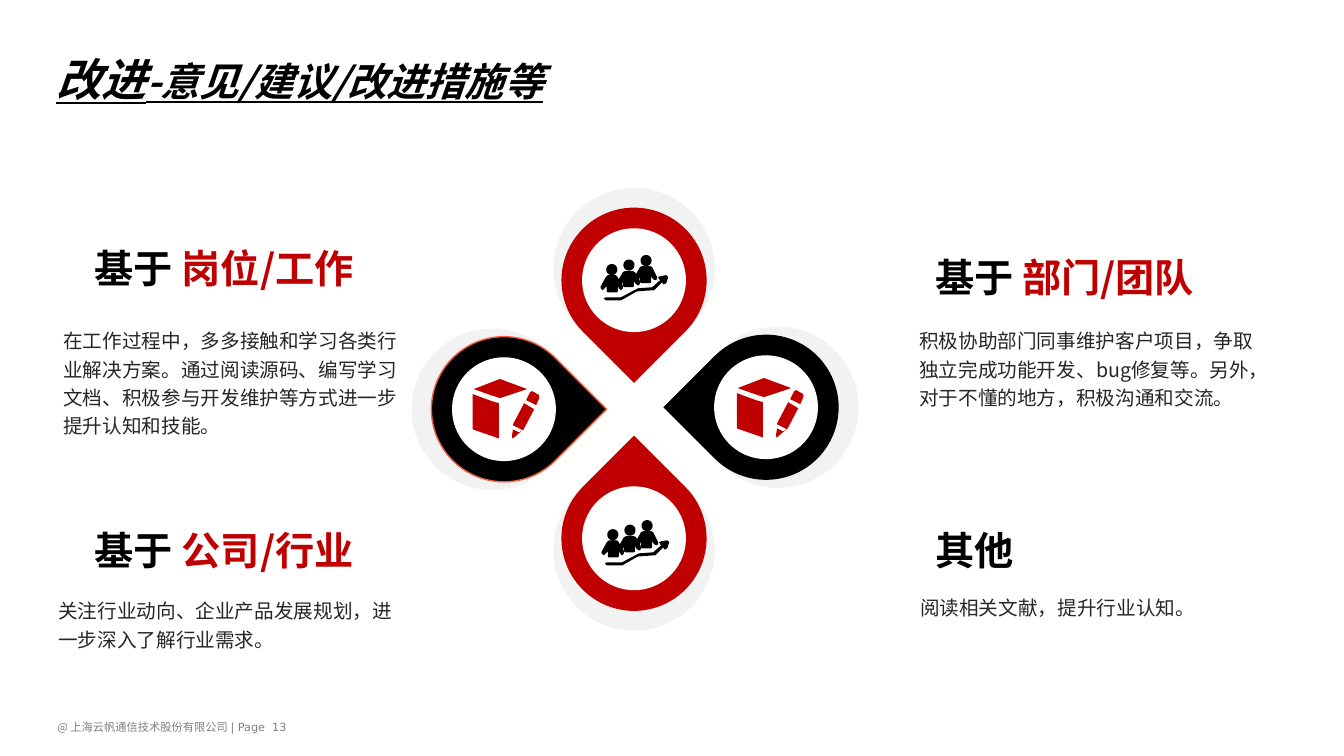
"""Build the slide of improvement ideas: four petals with headed notes."""
from dataclasses import dataclass
from math import cos, pi, radians, sin
from typing import Any

from lxml.etree import SubElement
from pptx import Presentation
from pptx.dml.color import RGBColor
from pptx.enum.shapes import MSO_SHAPE
from pptx.enum.text import MSO_ANCHOR, MSO_AUTO_SIZE
from pptx.oxml.ns import qn
from pptx.util import Emu, Pt

Point = tuple[float, float]
Path = list[Point]
COLS, ROWS = 160, 90
WIDTH, HEIGHT = Emu(12192000), Emu(6858000)


@dataclass(frozen=True)
class Theme:
    red: str = "C00000"
    black: str = "000000"
    white: str = "FFFFFF"
    halo: str = "F2F2F2"
    rim: str = "F35E40"
    body: str = "262626"
    grey: str = "808080"
    title: int = 32
    head: int = 28
    text: int = 14
    foot: int = 8
    main: str = "Noto Sans CJK SC"
    plain: str = "DejaVu Sans"


THEME = Theme()


@dataclass(frozen=True)
class Run:
    text: str
    size: int
    tint: str
    face: str = THEME.main
    bold: bool = False
    slant: bool = False


@dataclass(frozen=True)
class Note:
    col: float
    row: float
    wide: float
    high: float
    runs: tuple[Run, ...]
    frame: dict[str, Any]
    pad: Point = (1.2, 0.6)
    lead: float = 1.0


@dataclass(frozen=True)
class Icon:
    paths: list[Path]
    tint: str


@dataclass(frozen=True)
class Petal:
    col: float
    row: float
    tip: int
    fill: str
    icon: Icon
    left: float
    top: float
    rim: str = ""


def across(cols: float) -> Emu:
    return Emu(round(WIDTH * cols / COLS))


def down(rows: float) -> Emu:
    return Emu(round(HEIGHT * rows / ROWS))


def ring(col: float, row: float, size: float) -> Path:
    turns = [2 * pi * step / 24 for step in range(24)]
    return [(col + size * cos(turn), row + size * sin(turn)) for turn in turns]


CROWD = Icon([
    [(41, 11), (49, 11), (51, 12), (56, 22), (56, 24), (54, 25), (52, 24), (50, 21), (50, 27),
     (49, 28), (40, 28), (39, 27), (39, 21), (38, 24), (39, 27), (39, 28), (38, 30), (37, 30),
     (35, 29), (33, 26), (33, 31), (32, 32), (24, 32), (22, 31), (22, 26), (21, 29), (22, 31),
     (22, 33), (21, 34), (20, 35), (18, 33), (17, 30), (17, 36), (16, 37), (7, 37), (6, 36),
     (6, 31), (4, 33), (2, 35), (1, 34), (0, 33), (0, 31), (5, 22), (7, 20), (15, 20), (17, 22),
     (18, 24), (22, 17), (24, 16), (32, 16), (34, 17), (35, 19), (39, 12)],
    [(65, 20), (67, 22), (65, 28), (63, 29), (62, 29), (61, 27), (53, 35), (51, 35), (37, 36),
     (36, 36), (22, 44), (20, 45), (5, 45), (3, 43), (5, 42), (20, 42), (35, 34), (37, 33),
     (51, 32), (59, 25), (58, 24), (57, 22), (59, 21)],
    *(ring(11 + 17 * pos, 14.5 - 4.5 * pos, 5.5) for pos in range(3)),
], THEME.black)
CUBE = Icon([
    [(63, 26), (53, 21), (57, 13), (59, 12), (66, 16), (66, 19)],
    [(15, 15), (1, 10), (27, 0), (54, 10), (27, 19)],
    [(26, 24), (26, 59), (0, 50), (0, 15), (19, 22)],
    [(46, 53), (49, 51), (48, 52), (41, 58), (39, 59), (39, 56), (40, 50)],
    [(40, 45), (51, 24), (61, 30), (50, 51), (40, 46)],
], THEME.red)

HALO, DROP, DISC, SHIFT = 19.2, 17.28, 12.36, 1.4
PETALS = (
    Petal(75.48, 33.36, 180, THEME.red, CROWD, 71.52, 30.36),
    Petal(91.2, 48.48, 270, THEME.black, CUBE, 87.72, 45),
    Petal(60, 48.72, 90, THEME.black, CUBE, 56.28, 45.12, THEME.rim),
    Petal(75.48, 64.08, 0, THEME.red, CROWD, 71.64, 61.92),
)
WRAP = {"word_wrap": True}
GROW = {"word_wrap": True, "auto_size": MSO_AUTO_SIZE.SHAPE_TO_FIT_TEXT}
MID = {"word_wrap": True, "vertical_anchor": MSO_ANCHOR.MIDDLE}


def head(col: float, row: float, dark: str, red: str = "") -> Note:
    parts = ((dark, THEME.black), (red, THEME.red))
    runs = tuple(Run(text, THEME.head, tint, bold=True) for text, tint in parts if text)
    return Note(col, row, 38.4, 6.6, runs, WRAP)


def body(col: float, row: float, high: float, text: str) -> Note:
    return Note(col, row, 42.6, high, (Run(text, THEME.text, THEME.body),), GROW, lead=1.2)


NOTES = (
    Note(5.64, 85.2, 66.24, 7.32, (
        Run("@ 上海云帆通信技术股份有限公司 ", THEME.foot, THEME.grey),
        Run("| Page", THEME.foot, THEME.grey, THEME.plain)), GROW),
    Note(30.84, 84.96, 9.72, 4.8,
         (Run("13", THEME.foot, THEME.grey, THEME.plain),), WRAP, (1.56, 0.84)),
    Note(5.28, 7.44, 145.2, 3.72, (
        Run("改进", THEME.title, THEME.black, bold=True, slant=True),
        Run("-意见/建议/改进措施等", THEME.head, THEME.black, bold=True, slant=True)),
        MID, (1.44, 0.72)),
    head(10.08, 28.44, "基于 ", "岗位/工作"),
    head(110.16, 29.52, "基于 ", "部门/团队"),
    head(10.08, 62.04, "基于 ", "公司/行业"),
    head(110.16, 62.04, "其他"),
    body(6.36, 38.04, 14.28, "在工作过程中，多多接触和学习各类行业解决方案。"
         "通过阅读源码、编写学习文档、积极参与开发维护等方式进一步提升认知和技能。"),
    body(108.24, 38.04, 14.28, "积极协助部门同事维护客户项目，争取独立完成功能开发、bug修复等。"
         "另外，对于不懂的地方，积极沟通和交流。"),
    body(5.76, 70.2, 7.56, "关注行业动向、企业产品发展规划，进一步深入了解行业需求。"),
    body(108.36, 69.84, 4.2, "阅读相关文献，提升行业认知。"),
)


def apply(thing: Any, format: dict[str, Any]) -> None:
    for name, value in format.items():
        setattr(thing, name, value)


def paint(shape: Any, fill: str, rim: str = "") -> None:
    shape.shadow.inherit = False
    shape.fill.solid()
    shape.fill.fore_color.rgb = RGBColor.from_string(fill)
    if rim:
        shape.line.color.rgb = RGBColor.from_string(rim)
        shape.line.width = Pt(1)
    else:
        shape.line.fill.background()


def draw_icon(shapes: Any, icon: Icon, left: float, top: float) -> None:
    pen = None
    for path in icon.paths:
        first, *rest = [(col * 10, row * 10) for col, row in path]
        if pen is None:
            pen = shapes.build_freeform(*first, scale=914.4)
        else:
            pen.move_to(*first)
        pen.add_line_segments(rest, close=True)
    paint(pen.convert_to_shape(across(left), down(top)), icon.tint)


def draw_petal(shapes: Any, petal: Petal) -> None:
    turn = radians(petal.tip)
    far = (petal.col - SHIFT * sin(turn), petal.row + SHIFT * cos(turn))
    near = (petal.col, petal.row)
    for kind, (col, row), size, fill, rim in (
        (MSO_SHAPE.TEAR, far, HALO, THEME.halo, ""),
        (MSO_SHAPE.TEAR, near, DROP, petal.fill, petal.rim),
        (MSO_SHAPE.OVAL, near, DISC, THEME.white, ""),
    ):
        shape = shapes.add_shape(kind, across(col - size / 2), down(row - size / 2),
                                 across(size), down(size))
        paint(shape, fill, rim)
        if kind == MSO_SHAPE.TEAR:
            shape.rotation = (petal.tip - 45) % 360
    draw_icon(shapes, petal.icon, petal.left, petal.top)


def draw_note(shapes: Any, note: Note) -> None:
    box = shapes.add_textbox(across(note.col), down(note.row), across(note.wide), down(note.high))
    side, edge = across(note.pad[0]), down(note.pad[1])
    apply(box.text_frame, {"margin_left": side, "margin_right": side,
                           "margin_top": edge, "margin_bottom": edge, **note.frame})
    para = box.text_frame.paragraphs[0]
    para.line_spacing = note.lead
    for part in note.runs:
        run = para.add_run()
        run.text = part.text
        apply(run.font, {"size": Pt(part.size), "name": part.face, "bold": part.bold,
                         "italic": part.slant, "underline": part.slant})
        run.font.color.rgb = RGBColor.from_string(part.tint)
        SubElement(run.font._element, qn("a:ea"), typeface=part.face)


def main() -> None:
    deck = Presentation()
    apply(deck, {"slide_width": WIDTH, "slide_height": HEIGHT})
    shapes = deck.slides.add_slide(deck.slide_layouts[6]).shapes
    for petal in PETALS:
        draw_petal(shapes, petal)
    for note in NOTES:
        draw_note(shapes, note)
    deck.save("out.pptx")


if __name__ == "__main__":
    main()
